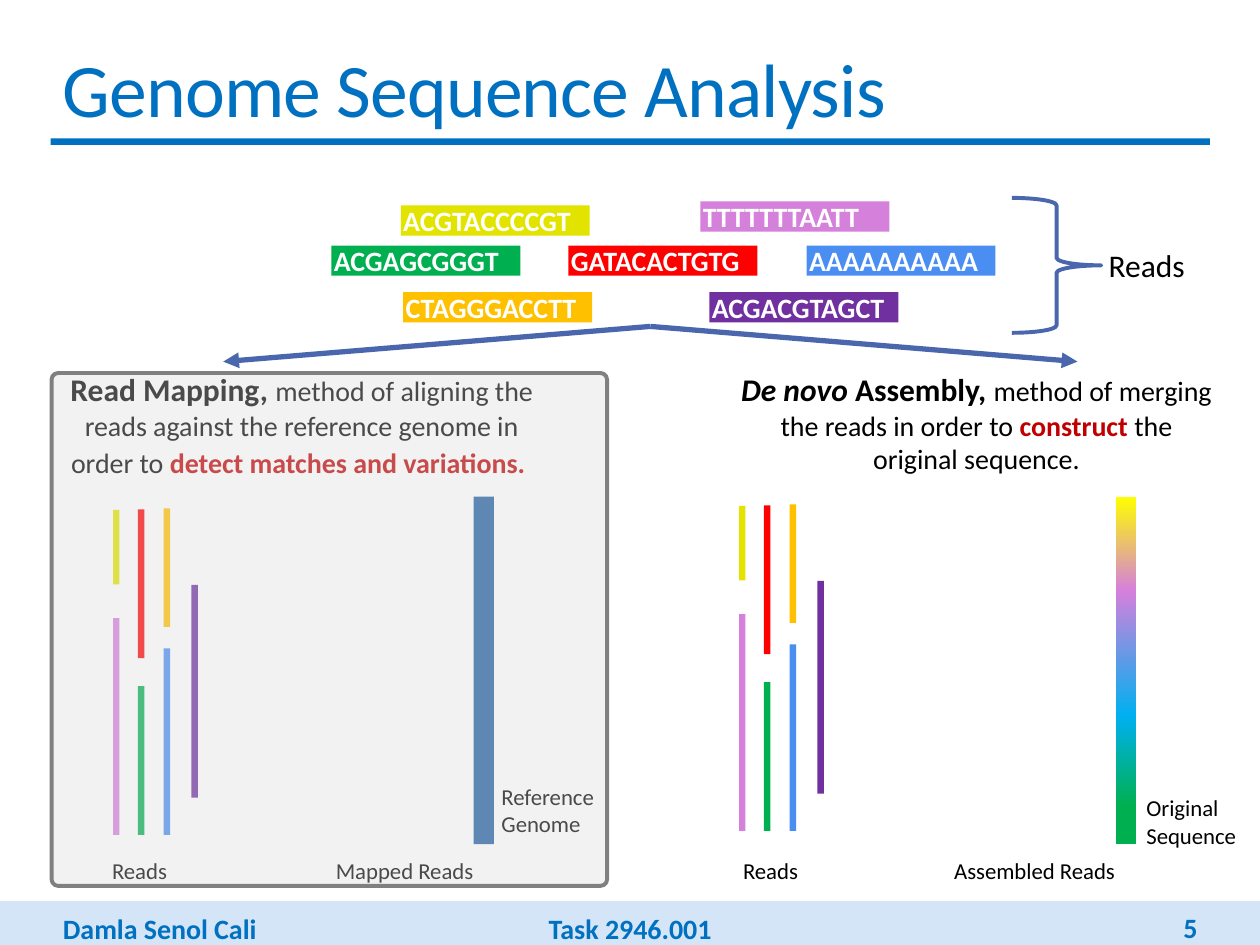
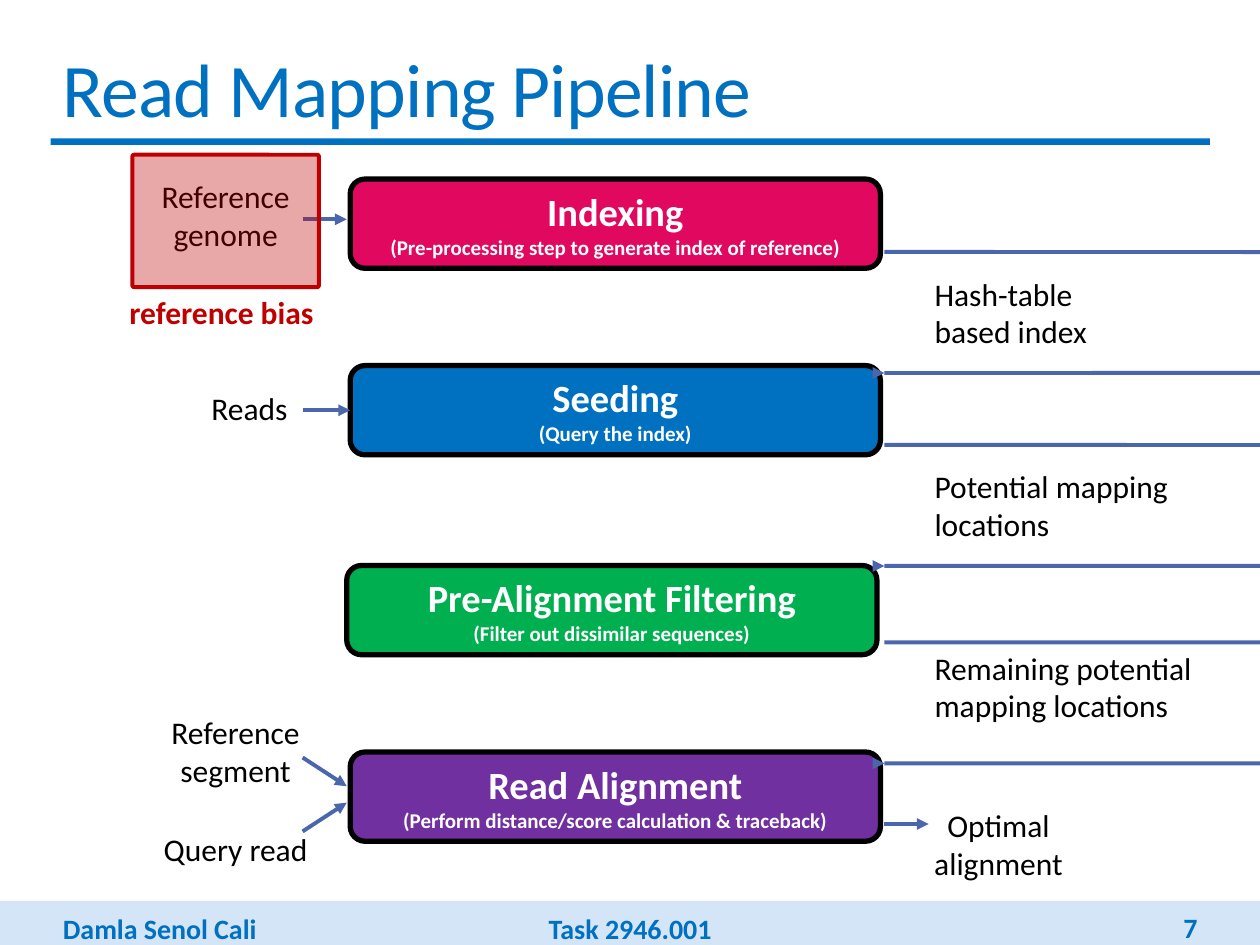
import pptx
import pptx.dml.color
import pptx.enum.dml
import pptx.enum.shapes
import pptx.enum.text
import pptx.oxml.ns
import pptx.util
import lxml.etree

SHAPE = pptx.enum.shapes.MSO_SHAPE
CONNECTOR = pptx.enum.shapes.MSO_CONNECTOR
ALIGN = pptx.enum.text.PP_ALIGN
ANCHOR = pptx.enum.text.MSO_ANCHOR
Cm = pptx.util.Cm
qn = pptx.oxml.ns.qn

BLUE = "0070C0"
BAND = "D4E5F7"
ARROW = "4A66AC"
BLACK = "000000"
WHITE = "FFFFFF"
DARK_RED = "C00000"
YELLOW = "E3E300"
RED = "FF0000"
PINK = "D580DB"
ORANGE = "FFC000"
PURPLE = "7030A0"
SKY = "4A8EF2"
GREEN = "00B050"

BODY = {"name": "Calibri", "size": 18, "bold": False, "color": BLACK}
FOOTER = {"size": 16, "bold": True, "color": BLUE}
CAPTION = {"size": 13}

SEQUENCES = [
    ("ACGTACCCCGT", YELLOW, 8.08, 4.14),
    ("GATACACTGTG", RED, 11.46, 4.95),
    ("TTTTTTTAATT", PINK, 14.12, 4.06),
    ("CTAGGGACCTT", ORANGE, 8.13, 5.89),
    ("ACGACGTAGCT", PURPLE, 14.3, 5.89),
    ("AAAAAAAAAA", SKY, 16.26, 4.95),
    ("ACGAGCGGGT", GREEN, 6.68, 4.95),
]
READ_STRIPS = [
    (YELLOW, 2.28, 10.28, 1.5),
    (ORANGE, 3.3, 10.25, 2.39),
    (RED, 2.78, 10.27, 3),
    (PINK, 2.28, 12.46, 4.37),
    (PURPLE, 3.86, 11.79, 4.29),
    (SKY, 3.3, 13.07, 3.76),
    (GREEN, 2.78, 13.83, 3),
]
ORIGINAL_STOPS = [(0, "FFFF00"), (27, PINK), (63, "00B0F0"), (89, GREEN)]
STAGES = [
    ("Indexing", "(Pre-processing step to generate index of reference)", "E0085F", 7.06, 3.61),
    ("Seeding", "(Query the index)", BLUE, 7.06, 7.37),
    ("Pre-Alignment Filtering", "(Filter out dissimilar sequences)", GREEN, 6.99, 11.4),
    ("Read Alignment", "(Perform distance/score calculation & traceback)", PURPLE, 7.06, 15.16),
]


def rgb(code):
    return pptx.dml.color.RGBColor.from_string(code)


def place(box):
    return [Cm(length) for length in box]


def set_format(font, values):
    for name, value in values.items():
        if name == "color":
            font.color.rgb = rgb(value)
        elif name == "size":
            font.size = pptx.util.Pt(value)
        else:
            setattr(font, name, value)


def write(frame, paragraphs, align=ALIGN.LEFT, anchor=ANCHOR.TOP, **base):
    frame.word_wrap = True
    frame.vertical_anchor = anchor
    for index, pieces in enumerate(paragraphs):
        paragraph = frame.add_paragraph() if index else frame.paragraphs[0]
        paragraph.alignment = align
        if isinstance(pieces, str):
            pieces = [(pieces, {})]
        for wording, changes in pieces:
            run = paragraph.add_run()
            run.text = wording
            set_format(run.font, {**BODY, **base, **changes})


def add_text(slide, box, paragraphs, **style):
    label = slide.shapes.add_textbox(*place(box))
    write(label.text_frame, paragraphs, **style)
    return label


def add_block(slide, box, fill=None, kind=SHAPE.RECTANGLE, line=None, width=2.25):
    block = slide.shapes.add_shape(kind, *place(box))
    block.shadow.inherit = False
    if fill:
        block.fill.solid()
        block.fill.fore_color.rgb = rgb(fill)
    else:
        block.fill.background()
    if line:
        block.line.color.rgb = rgb(line)
        block.line.width = pptx.util.Pt(width)
    else:
        block.line.fill.background()
    return block


def add_veil(slide, box, fill, line):
    veil = add_block(slide, box, fill, SHAPE.ROUNDED_RECTANGLE, line)
    veil.adjustments[0] = 0.013
    color = veil.element.spPr.find(qn("a:solidFill"))[0]
    lxml.etree.SubElement(color, qn("a:alpha"), val="34000")


def add_gradient_block(slide, box, stops):
    block = add_block(slide, box)
    block.fill.gradient()
    block.fill.gradient_angle = 270
    stop_list = block.element.spPr.find(qn("a:gradFill")).find(qn("a:gsLst"))
    for stop in list(stop_list):
        stop_list.remove(stop)
    for percent, color in stops:
        stop = lxml.etree.SubElement(stop_list, qn("a:gs"), pos=str(percent * 1000))
        lxml.etree.SubElement(stop, qn("a:srgbClr"), val=color)


def style_arrow(arrow, width):
    arrow.line.color.rgb = rgb(ARROW)
    arrow.line.width = pptx.util.Pt(width)
    properties = arrow.element.spPr
    lxml.etree.SubElement(properties.find(qn("a:ln")), qn("a:tailEnd"), type="triangle")
    lxml.etree.SubElement(properties, qn("a:effectLst"))


def add_arrow(slide, start, end, width=2.25):
    arrow = slide.shapes.add_connector(CONNECTOR.STRAIGHT, *place(start + end))
    style_arrow(arrow, width)
    return arrow


def add_return_curve(slide, x, top, bottom):
    sliver = pptx.util.Emu(3)
    curve = slide.shapes.add_connector(
        CONNECTOR.CURVE, Cm(x) + sliver, Cm(top), Cm(x), Cm(bottom))
    style_arrow(curve, 2.25)
    guides = curve.element.spPr.find(qn("a:prstGeom")).get_or_add_avLst()
    lxml.etree.SubElement(guides, qn("a:gd"), name="adj1", fmla="val -7620000000")


def start_slide(deck, title, number):
    slide = deck.slides.add_slide(deck.slide_layouts[6])
    add_block(slide, (0, 18.16, 25.4, 0.89), BAND)
    add_block(slide, (1.02, 2.79, 23.37, 0.13), BLUE)
    add_text(slide, (1.02, 18.26, 6.15, 0.94), ["Damla Senol Cali"], **FOOTER)
    add_text(slide, (10.19, 18.26, 5.03, 0.94), ["Task 2946.001"], align=ALIGN.CENTER, **FOOTER)
    add_text(slide, (20.88, 18.31, 3.51, 0.76), [number],
             align=ALIGN.RIGHT, anchor=ANCHOR.MIDDLE, **FOOTER)
    heading = add_text(slide, (1.02, 0.71, 23.37, 2.08), [title],
                       anchor=ANCHOR.MIDDLE, size=43.2, color=BLUE)
    heading.text_frame.paragraphs[0].runs[0].font._element.set("spc", "-50")
    return slide


def add_sequence(slide, letters, color, left, top):
    sequence = add_block(slide, (left, top, 3.81, 0.61), color)
    frame = sequence.text_frame
    write(frame, [letters], anchor=ANCHOR.MIDDLE, size=16, bold=True, color=WHITE)
    for side in ("left", "right", "top", "bottom"):
        setattr(frame, f"margin_{side}", Cm(0.05 if side == "left" else 0))


def add_read_strips(slide, right=0, down=0):
    for color, left, top, height in READ_STRIPS:
        add_block(slide, (left + right, top + down, 0.13, height), color)


def add_stage(slide, name, detail, color, left, top):
    stage = add_block(slide, (left, top, 10.69, 1.8), color,
                      SHAPE.ROUNDED_RECTANGLE, BLACK, 3)
    write(stage.text_frame, [[(name, {"size": 22})], [(detail, {"size": 12})]],
          align=ALIGN.CENTER, anchor=ANCHOR.MIDDLE, bold=True, color=WHITE)
    return stage


def build_analysis(deck):
    slide = start_slide(deck, "Genome Sequence Analysis", "5")
    for end_x in (4.5, 21.72):
        add_arrow(slide, (13.11, 6.58), (end_x, 7.29), 3)
    for sequence in SEQUENCES:
        add_sequence(slide, *sequence)
    add_block(slide, (20.4, 3.99, 1.8, 2.72), kind=SHAPE.RIGHT_BRACE, line=ARROW)
    add_text(slide, (22.1, 4.83, 2.26, 1.02), ["Reads"])

    strong = {"size": 18, "bold": True}
    alert = {"bold": True, "color": DARK_RED}
    add_text(slide, (0.94, 7.34, 10.29, 2.49), [[
        ("Read Mapping, ", strong),
        ("method of aligning the reads against the reference genome in order to ", {}),
        ("detect matches and variations.", alert),
        (" ", strong)]], align=ALIGN.CENTER, size=16)
    add_text(slide, (14.68, 7.34, 10.01, 2.39), [[
        ("De novo", {**strong, "italic": True}),
        (" Assembly, ", strong),
        ("method of merging the reads in order to ", {}),
        ("construct ", alert),
        ("the original sequence.", {})]], align=ALIGN.CENTER, size=16)

    add_read_strips(slide)
    add_read_strips(slide, 12.62, -0.08)
    add_block(slide, (9.55, 10.01, 0.41, 7.01), "1F5FA0")
    add_gradient_block(slide, (22.5, 10.01, 0.41, 7.01), ORIGINAL_STOPS)
    add_text(slide, (9.86, 15.65, 2.54, 1.37), ["Reference", "Genome"], **CAPTION)
    add_text(slide, (22.86, 15.88, 2.54, 1.37), ["Original", "Sequence"], **CAPTION)
    for reads_left, result_left, result in (
            (2.01, 6.1, "Mapped Reads"), (14.73, 18.8, "Assembled Reads")):
        add_text(slide, (reads_left, 17.15, 1.68, 0.81), ["Reads"], **CAPTION)
        add_text(slide, (result_left, 17.15, 4.11, 0.81), [result],
                 align=ALIGN.CENTER, **CAPTION)
    add_veil(slide, (1.04, 7.52, 11.2, 10.34), "D9D9D9", "808080")


def build_pipeline(deck):
    slide = start_slide(deck, "Read Mapping Pipeline", "7")
    indexing, seeding, filtering, alignment = [add_stage(slide, *stage) for stage in STAGES]

    for left, top, lines in (
            (2.67, 3.45, ["Reference genome"]),
            (3.15, 7.72, ["Reads"]),
            (2.87, 14.25, ["Reference", "segment"]),
            (2.87, 16.61, ["Query read"])):
        add_text(slide, (left, top, 3.76, 1.7), lines, align=ALIGN.CENTER)
    for top, width, lines in (
            (5.41, 4.32, ["Hash-table based index"]),
            (9.3, 5.33, ["Potential mapping", "locations"]),
            (12.95, 5.74, ["Remaining potential mapping locations"])):
        add_text(slide, (18.59, top, width, 1.75), lines)
    add_text(slide, (17.68, 16.13, 4.9, 1.6), ["Optimal alignment"], align=ALIGN.CENTER)

    for start_y, end_y in ((4.42, 4.42), (15.27, 15.85), (16.76, 16.18)):
        add_arrow(slide, (6.1, start_y), (6.99, end_y))
    add_arrow(slide, (6.1, 8.27), (7.06, 8.27)).end_connect(seeding, 1)
    add_arrow(slide, (17.83, 16.61), (18.72, 16.61))
    for top in (5.08, 8.97, 12.95):
        add_return_curve(slide, 17.83, top, top + 2.44)

    add_veil(slide, (2.67, 3.12, 3.76, 2.67), DARK_RED, DARK_RED)
    add_text(slide, (2.36, 5.79, 4.7, 1.02), ["reference bias"], bold=True, color=DARK_RED)


def main():
    deck = pptx.Presentation()
    deck.slide_width, deck.slide_height = Cm(25.4), Cm(19.05)
    build_analysis(deck)
    build_pipeline(deck)
    deck.save("out.pptx")


if __name__ == "__main__":
    main()
